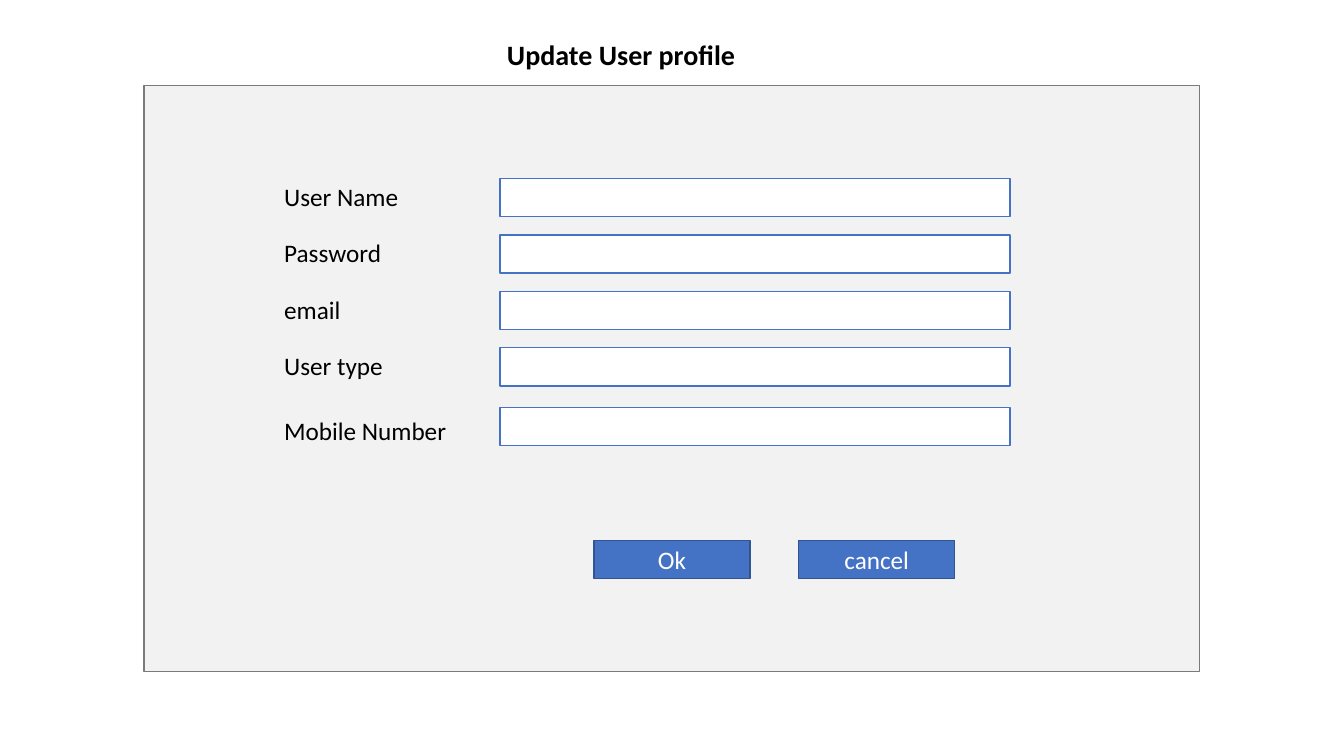
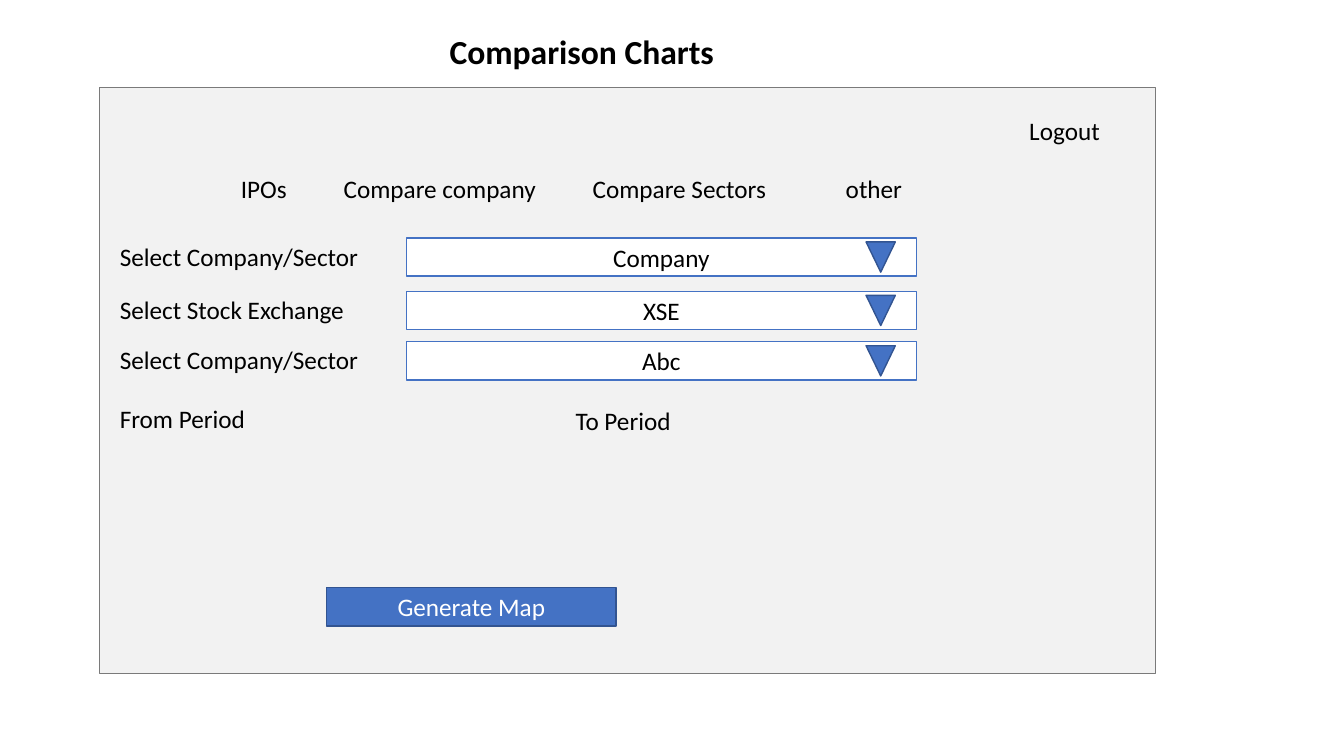
from dataclasses import dataclass

from lxml import etree
from pptx import Presentation
from pptx.dml.color import RGBColor
from pptx.enum.shapes import MSO_SHAPE
from pptx.enum.text import MSO_ANCHOR, PP_ALIGN
from pptx.oxml.ns import qn
from pptx.util import Inches, Pt

COLORS = {
    "panel": "F2F2F2", "panel_line": "7A7A7A",
    "accent": "4472C4", "accent_line": "325491",
    "white": "FFFFFF", "text": "000000",
}
FONT = "Calibri"
BODY_SIZE = 18
PANEL_W, PANEL_H = 10.47, 5.81
FIELD_W, CONTROL_H, LABEL_H = 5.06, 0.38, 0.4
LABEL_RISE = 0.02  # a label starts this far above its field


@dataclass
class Box:
    """A rectangle in inches."""
    x: float
    y: float
    w: float
    h: float

    def inside(self, dx, dy, w, h):
        """Return a box offset from this box's top left corner."""
        return Box(self.x + dx, self.y + dy, w, h)

    def lengths(self):
        """Return left, top, width and height as lengths."""
        return [Inches(v) for v in (self.x, self.y, self.w, self.h)]


def rgb(name):
    """Look up a palette colour."""
    return RGBColor.from_string(COLORS[name])


def write(frame, text, size=BODY_SIZE, color="text", bold=False):
    """Put one styled run in a text frame and return its paragraph."""
    frame.word_wrap = True
    paragraph = frame.paragraphs[0]
    run = paragraph.add_run()
    run.text = text
    run.font.name, run.font.size, run.font.bold = FONT, Pt(size), bold
    run.font.color.rgb = rgb(color)
    return paragraph


def add_text(slide, box, text, **style):
    """Add a left-aligned text box and return its paragraph."""
    frame = slide.shapes.add_textbox(*box.lengths()).text_frame
    return write(frame, text, **style)


def add_block(slide, box, fill, line, text="", color="text",
              kind=MSO_SHAPE.RECTANGLE):
    """Add an outlined shape with optional centred text."""
    shape = slide.shapes.add_shape(kind, *box.lengths())
    shape.shadow.inherit = False
    shape.fill.solid()
    shape.fill.fore_color.rgb = rgb(fill)
    shape.line.color.rgb = rgb(line)
    shape.line.width = Pt(1)
    if text:
        shape.text_frame.vertical_anchor = MSO_ANCHOR.MIDDLE
        write(shape.text_frame, text, color=color).alignment = PP_ALIGN.CENTER
    return shape


def add_button(slide, box, text):
    """Add a filled button."""
    add_block(slide, box, "accent", "accent_line", text, "white")


def add_field(slide, box, text=""):
    """Add a white input field."""
    add_block(slide, box, "white", "accent", text)


def add_dropdown(slide, box, text):
    """Add an input field with a downward triangle at its right end."""
    add_field(slide, box, text)
    arrow = add_block(slide, box.inside(4.56, 0.04, 0.29, 0.3), "accent",
                      "accent_line", kind=MSO_SHAPE.ISOSCELES_TRIANGLE)
    arrow.rotation = 180


def add_menu(slide, box, items, stops):
    """Add a line of menu items separated by tab stops."""
    paragraph = add_text(slide, box, "\t".join(items))
    tabs = etree.SubElement(paragraph._p.get_or_add_pPr(), qn("a:tabLst"))
    for stop in stops:
        etree.SubElement(tabs, qn("a:tab"), pos=str(Inches(stop)), algn="l")


def start_screen(prs, panel, title_box, title, title_size):
    """Add a slide with the bold title and the grey panel."""
    slide = prs.slides.add_slide(prs.slide_layouts[6])
    add_block(slide, panel, "panel", "panel_line")
    add_text(slide, title_box, title, size=title_size, bold=True)
    return slide


def profile_screen(prs, panel):
    """Build the form for updating a user profile."""
    slide = start_screen(prs, panel, panel.inside(3.5, -0.53, 4.05, 0.44),
                         "Update User profile", 20)
    labels = ["User Name", "Password", "email", "User type"]
    rows = [(label, 0.92 + 0.56 * i, -LABEL_RISE)
            for i, label in enumerate(labels)]
    rows.append(("Mobile Number", 3.19, 0.03))
    for label, dy, shift in rows:
        add_text(slide, panel.inside(1.29, dy + shift, 2.37, LABEL_H), label)
        add_field(slide, panel.inside(3.53, dy, FIELD_W, CONTROL_H))
    for i, text in enumerate(["Ok", "cancel"]):
        add_button(slide, panel.inside(4.46 + 2.03 * i, 4.51, 1.55, CONTROL_H),
                   text)


def comparison_screen(prs, panel):
    """Build the screen for choosing what to compare."""
    slide = start_screen(prs, panel, panel.inside(3.37, -0.61, 3.01, 0.5),
                         "Comparison Charts", 24)
    add_text(slide, panel.inside(9.12, 0.22, 0.94, 0.71), "Logout")
    add_menu(slide, panel.inside(1.3, 0.8, 8.66, LABEL_H),
             ["IPOs", "Compare company", "Compare Sectors", "other"],
             [1.02, 3.49, 6])
    rows = [("Select Company/Sector", "Company", 1.49),
            ("Select Stock Exchange", "XSE", 2.02),
            ("Select Company/Sector", "Abc", 2.52)]
    for label, choice, dy in rows:
        add_text(slide, panel.inside(0.1, dy - LABEL_RISE, 3.07, LABEL_H),
                 label)
        add_dropdown(slide, panel.inside(3.04, dy, FIELD_W, CONTROL_H), choice)
    add_text(slide, panel.inside(0.1, 3.08, 3.07, LABEL_H), "From Period")
    add_text(slide, panel.inside(4.62, 3.1, 1.24, LABEL_H), "To Period")
    add_button(slide, panel.inside(2.25, 4.96, 2.87, CONTROL_H),
               "Generate Map")


def main():
    """Build and save the presentation."""
    prs = Presentation()
    prs.slide_width, prs.slide_height = Inches(13.33), Inches(7.5)
    profile_screen(prs, Box(1.43, 0.85, PANEL_W, PANEL_H))
    comparison_screen(prs, Box(0.99, 0.87, PANEL_W, PANEL_H))
    prs.save("out.pptx")


main()
